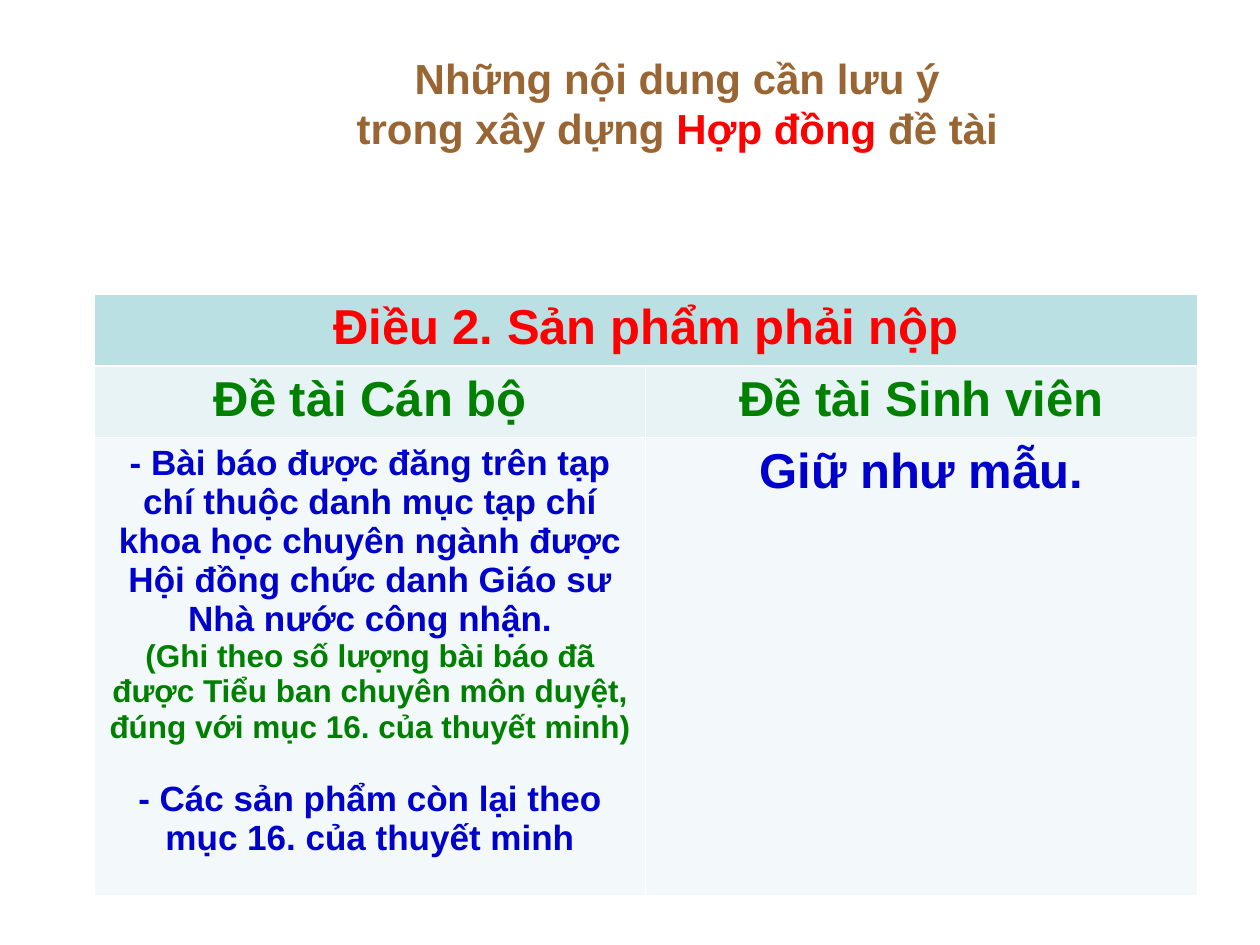
from lxml.etree import SubElement
from pptx import Presentation
from pptx.dml.color import RGBColor
from pptx.enum.text import MSO_ANCHOR, PP_ALIGN
from pptx.oxml.ns import qn
from pptx.util import Pt

BROWN, RED, GREEN, BLUE, WHITE = "996633", "FF0000", "008000", "0000CC", "FFFFFF"
HEADER, SUBHEADER, BODY = "BBE0E3", "E7F3F4", "F3F9FA"


def add_run(p, text, size, color):
    r = p.add_run()
    r.text = text
    font = {"name": "Arial", "size": Pt(size), "bold": True}
    for name, value in font.items():
        setattr(r.font, name, value)
    r.font.color.rgb = RGBColor.from_string(color)


def add_border(cell, side, width):
    """Draw a white line on one side (L, R, T or B); call before filling the cell."""
    ln = SubElement(cell._tc.get_or_add_tcPr(), qn(f"a:ln{side}"), w=str(Pt(width)))
    SubElement(SubElement(ln, qn("a:solidFill")), qn("a:srgbClr"), val=WHITE)


prs = Presentation()
prs.slide_width, prs.slide_height = Pt(720), Pt(540)
s = prs.slides.add_slide(prs.slide_layouts[6])

# Title
tf = s.shapes.add_textbox(Pt(90), Pt(21.6), Pt(594), Pt(74)).text_frame
tf.word_wrap = True
tf.vertical_anchor = MSO_ANCHOR.MIDDLE
p = tf.paragraphs[0]
p.alignment = PP_ALIGN.CENTER
add_run(p, "Những nội dung cần lưu ý", 24, BROWN)
p.add_line_break()
for text, color in [("trong xây dựng ", BROWN), ("Hợp đồng", RED), (" đề tài", BROWN)]:
    add_run(p, text, 24, color)

# Each row: height, fill, cells; each paragraph: text, size, colour, space before
rows = [
    (41, HEADER, [[("Điều 2. Sản phẩm phải nộp", 28, RED, 0)], []]),
    (41, SUBHEADER, [[("Đề tài Cán bộ", 28, GREEN, 0)],
                     [("Đề tài Sinh viên", 28, GREEN, 0)]]),
    (261.5, BODY, [
        [("- Bài báo được đăng trên tạp chí thuộc danh mục tạp chí khoa học "
          "chuyên ngành được Hội đồng chức danh Giáo sư Nhà nước công nhận.", 20, BLUE, 0),
         ("(Ghi theo số lượng bài báo đã được Tiểu ban chuyên môn duyệt, "
          "đúng với mục 16. của thuyết minh)", 18, GREEN, 0),
         ("- Các sản phẩm còn lại theo mục 16. của thuyết minh", 20, BLUE, 20)],
        [("Giữ như mẫu.", 28, BLUE, 0)],
    ]),
]

table = s.shapes.add_table(3, 2, Pt(54), Pt(168), Pt(630), Pt(343.5)).table
table.cell(0, 0).merge(table.cell(0, 1))
for i, (height, fill, cells) in enumerate(rows):
    table.rows[i].height = Pt(height)
    for j, paragraphs in enumerate(cells):
        cell = table.cell(i, j)
        thick = {0: "B", 1: "T"}.get(i)
        for side in "LRTB":
            add_border(cell, side, 1.5 if side == thick else 0.45)
        cell.fill.solid()
        cell.fill.fore_color.rgb = RGBColor.from_string(fill)
        tf = cell.text_frame
        for k, (text, size, color, before) in enumerate(paragraphs):
            p = tf.add_paragraph() if k else tf.paragraphs[0]
            p.alignment = PP_ALIGN.CENTER
            p.space_before = Pt(before)
            add_run(p, text, size, color)

prs.save("out.pptx")
